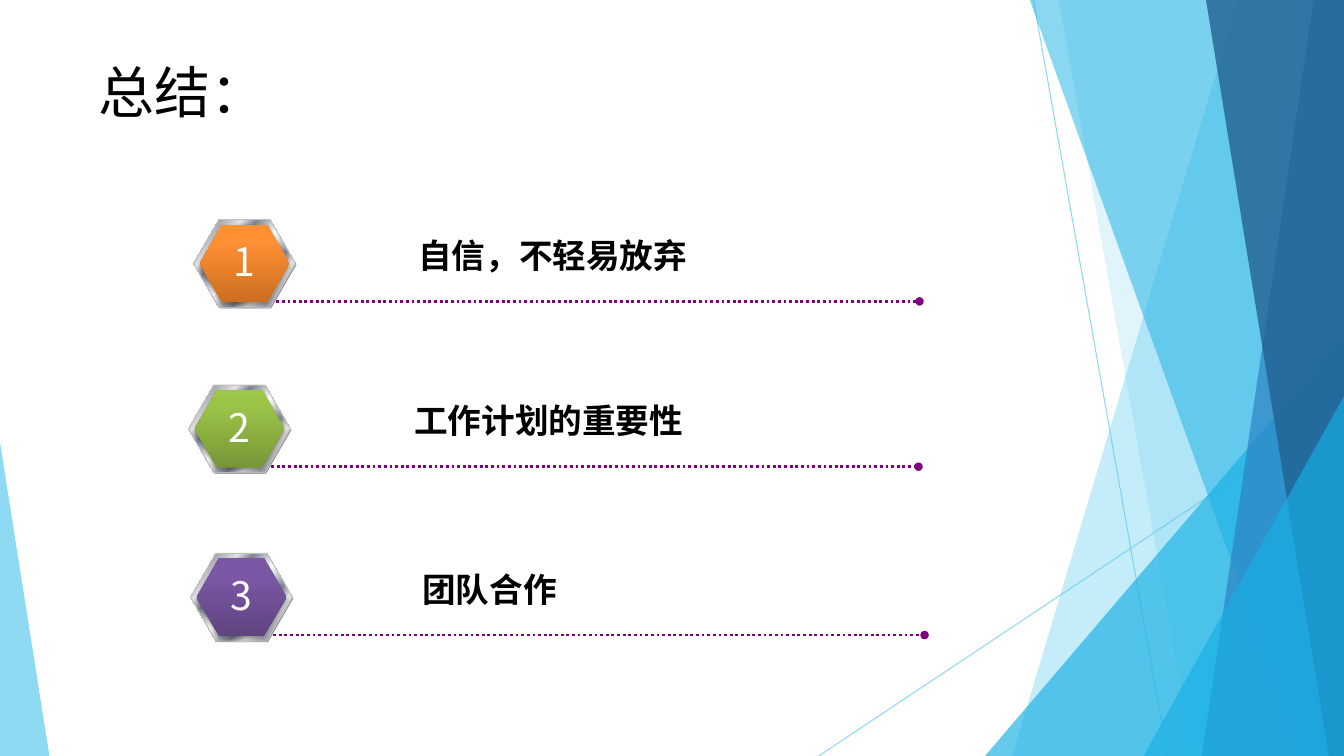
from dataclasses import dataclass

from lxml import etree
from pptx import Presentation
from pptx.dml.color import RGBColor
from pptx.enum import dml, shapes, text
from pptx.oxml.ns import qn
from pptx.util import Inches, Pt


@dataclass(frozen=True)
class Theme:
    font: str = "Noto Sans CJK SC"
    ink: str = "000000"
    white: str = "FFFFFF"
    sky: str = "5FCBEF"
    cyan: str = "17B0E4"
    blue: str = "2E83C3"
    navy: str = "226292"
    grey: str = "808080"
    silver: str = "C0C0C0"
    rule: str = "800080"
    title_size: int = 40
    number_size: int = 28
    label_size: int = 24


theme = Theme()
WIDTH, HEIGHT = 13.33, 7.5

# Content
TITLE = "总结："
# label, badge left and top, label left, label width, rule end, core gradient
POINTS = [
    ("自信，不轻易放弃", 1.92, 2.18, 4.05, 2.9, 9.12, ("CC6E20", "FF9034", "FF9136")),
    ("工作计划的重要性", 1.87, 3.82, 4.01, 2.89, 9.11, ("779737", "9BC348", "9DC746")),
    ("团队合作", 1.89, 5.49, 4.09, 1.55, 9.17, ("5F4480", "7B58A6", "7C57A8")),
]
METAL = list(zip(
    (0, 8, 26, 34, 46, 50, 54, 66, 74, 92, 100),
    ("E6E6E6", "7D8496", "E6E6E6", "7D8496", "E6E6E6", "FFFFFF",
     "E6E6E6", "7D8496", "E6E6E6", "7D8496", "E6E6E6")))

# Backdrop, from back to front
RAYS = [((10.25, 0), (11.58, HEIGHT)), ((WIDTH, 4.03), (8.12, HEIGHT))]
# Facets give top x and bottom x; triangles give left, top, width and apex
FACETS = [
    ("facet", (12.28, 10.04), theme.sky, 36),
    ("facet", (10.5, 11.83), theme.sky, 20),
    ("triangle", (9.77, 3.33, 3.56, 1), theme.cyan, 66),
    ("facet", (10.21, 12.91), theme.cyan, 50),
    ("facet", (13.03, 11.92), theme.blue, 70),
    ("facet", (11.96, 13.18), theme.navy, 80),
    ("triangle", (11.34, 3.93, 1.99, 1), theme.cyan, 66),
    ("triangle", (0, 4.39, 0.49, 0), theme.sky, 70),
]


def child(parent, tag, **attributes):
    values = {name: str(value) for name, value in attributes.items()}
    return etree.SubElement(parent, qn(tag), values)


def color(parent, rgb, opacity=100):
    node = child(parent, "a:srgbClr", val=rgb)
    if opacity < 100:
        child(node, "a:alpha", val=opacity * 1000)


def solid(fill, rgb):
    fill.solid()
    fill.fore_color.rgb = RGBColor.from_string(rgb)


def fade(properties, opacity):
    child(next(properties.iter(qn("a:srgbClr"))), "a:alpha", val=opacity * 1000)


def gradient(shape, stops, angle):
    shape.fill.gradient()
    grad = shape.element.spPr.find(qn("a:gradFill"))
    stop_list = grad.find(qn("a:gsLst"))
    for old in list(stop_list):
        stop_list.remove(old)
    for position, rgb in stops:
        color(child(stop_list, "a:gs", pos=position * 1000), rgb)
    grad.find(qn("a:lin")).set("ang", str(angle * 60000))


def add_line(group, start, end, rgb, width):
    line = group.shapes.add_connector(
        shapes.MSO_CONNECTOR.STRAIGHT, *map(Inches, start + end))
    solid(line.line.fill, rgb)
    line.line.width = Pt(width)
    child(line.element.spPr, "a:effectLst")
    return line


def add_shape(group, kind, box, *adjustments):
    shape = group.shapes.add_shape(kind, *map(Inches, box))
    for index, value in enumerate(adjustments):
        shape.adjustments[index] = value
    shape.line.fill.background()
    shape.shadow.inherit = False
    return shape


def add_hexagon(group, box):
    return add_shape(group, shapes.MSO_SHAPE.HEXAGON, box, 0.289, 1.155)


def write(frame, words, size, rgb, align, bold=False, wrap=False):
    frame.word_wrap = wrap
    frame.auto_size = text.MSO_AUTO_SIZE.SHAPE_TO_FIT_TEXT
    frame.vertical_anchor = text.MSO_ANCHOR.TOP
    paragraph = frame.paragraphs[0]
    paragraph.alignment = align
    run = paragraph.add_run()
    run.text = words
    run.font.size, run.font.bold, run.font.name = Pt(size), bold, theme.font
    run.font.color.rgb = RGBColor.from_string(rgb)
    child(run.font._element, "a:ea", typeface=theme.font)


presentation = Presentation()
presentation.slide_width, presentation.slide_height = Inches(WIDTH), Inches(HEIGHT)
slide = presentation.slides.add_slide(presentation.slide_layouts[5])

# Backdrop
backdrop = slide.shapes.add_group_shape()
for start, end in RAYS:
    ray = add_line(backdrop, start, end, theme.sky, 0.75)
    fade(ray.element.spPr, 70)
for kind, geometry, rgb, opacity in FACETS:
    if kind == "facet":
        top_x, bottom_x = geometry
        corners = [(top_x, -0.01), (WIDTH, -0.01), (WIDTH, HEIGHT), (bottom_x, HEIGHT)]
        corners = [(Inches(x), Inches(y)) for x, y in corners]
        builder = backdrop.shapes.build_freeform(*corners[0])
        builder.add_line_segments(corners[1:], close=True)
        pane = builder.convert_to_shape()
        pane.line.fill.background()
        pane.shadow.inherit = False
    else:
        left, top, width, apex = geometry
        pane = add_shape(backdrop, shapes.MSO_SHAPE.ISOSCELES_TRIANGLE,
                         (left, top, width, HEIGHT - top), apex)
    solid(pane.fill, rgb)
    fade(pane.element.spPr, opacity)

# Title
title = slide.shapes.title
title.left, title.top, title.width, title.height = map(Inches, (0.88, 0.52, 3.42, 0.77))
write(title.text_frame, TITLE, theme.title_size, theme.ink, text.PP_ALIGN.LEFT, wrap=True)

# Numbered points
for number, (label, left, top, label_left, label_width, rule_end, shades) in enumerate(POINTS, 1):
    point = slide.shapes.add_group_shape()

    edge = add_hexagon(point, (left + 0.01, top + 0.01, 1.01, 0.87))
    solid(edge.fill, theme.grey)

    ring = add_hexagon(point, (left, top, 1.01, 0.87))
    gradient(ring, METAL, 45)
    solid(ring.line.fill, theme.silver)
    ring.line.width = Pt(0.75)

    core = add_hexagon(point, (left + 0.06, top + 0.05, 0.89, 0.77))
    gradient(core, zip((0, 80, 100), shades), 270)
    shadow = child(core.element.spPr.find(qn("a:effectLst")), "a:outerShdw",
                   blurRad=Pt(3.1), dist=Pt(1.8), dir=90 * 60000, rotWithShape=0)
    color(shadow, theme.ink, 35)

    rule_y = top + 0.81
    rule = add_line(point, (left + 0.82, rule_y), (rule_end, rule_y), theme.rule, 2)
    rule.line.dash_style = dml.MSO_LINE.ROUND_DOT
    child(rule.element.spPr.find(qn("a:ln")), "a:tailEnd", type="oval")

    label_box = point.shapes.add_textbox(
        *map(Inches, (label_left, top + 0.1, label_width, 0.51)))
    write(label_box.text_frame, label, theme.label_size, theme.ink,
          text.PP_ALIGN.LEFT, bold=True)
    number_box = point.shapes.add_textbox(
        *map(Inches, (left + 0.29, top + 0.13, 0.43, 0.57)))
    write(number_box.text_frame, str(number), theme.number_size, theme.white,
          text.PP_ALIGN.CENTER)

presentation.save("out.pptx")
